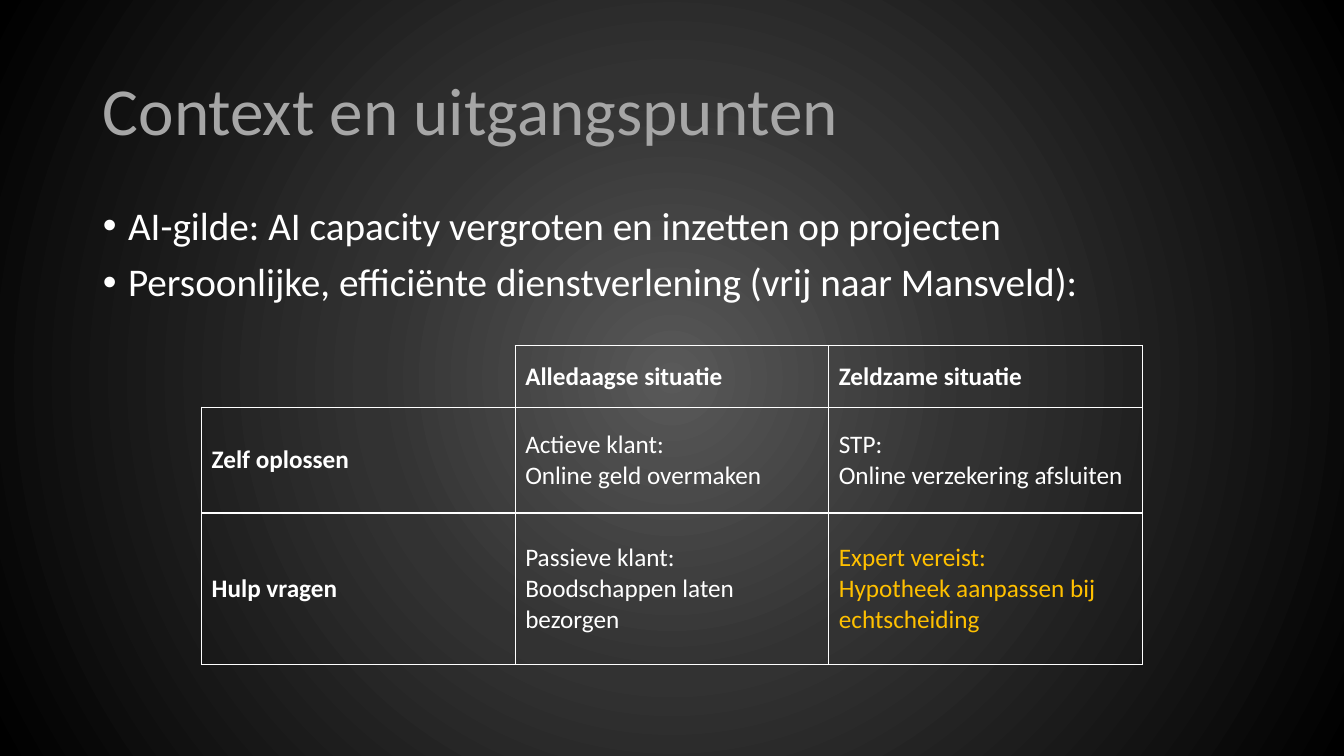
from lxml import etree
from pptx import Presentation
from pptx.dml.color import RGBColor
from pptx.enum.text import MSO_ANCHOR, MSO_AUTO_SIZE, PP_ALIGN
from pptx.oxml import parse_xml
from pptx.oxml.ns import nsdecls, qn
from pptx.util import Inches, Pt

MIDDLE, TOP = MSO_ANCHOR.MIDDLE, MSO_ANCHOR.TOP
LEFT = PP_ALIGN.LEFT
NO_AUTOFIT = MSO_AUTO_SIZE.NONE
WHITE, GREY, AMBER = "FFFFFF", "A6A6A6", "FFC000"
TITLE_AND_CONTENT = 1


def colour(hex_text):
    """Turn a hex string into a colour."""
    return RGBColor.from_string(hex_text)


class SlideBuilder:
    """Hold the style and the current slide."""

    font = "Calibri"
    title_size, list_size, table_size = 48, 28, 18
    border_width = 1

    def __init__(self, deck):
        """Add a slide with title and content to the deck."""
        self.slide = deck.slides.add_slide(deck.slide_layouts[TITLE_AND_CONTENT])

    def radial_background(self, stops):
        """Fill the background with a circular gradient from the centre."""
        stop_xml = "".join(
            f'<a:gs pos="{percent * 1000}"><a:srgbClr val="{shade}"/></a:gs>'
            for percent, shade in stops)
        background = parse_xml(
            f'<p:bg {nsdecls("p", "a")}><p:bgPr><a:gradFill rotWithShape="1">'
            f'<a:gsLst>{stop_xml}</a:gsLst><a:path path="circle">'
            '<a:fillToRect l="50000" t="50000" r="50000" b="50000"/></a:path>'
            '</a:gradFill><a:effectLst/></p:bgPr></p:bg>')
        self.slide.element.cSld.insert(0, background)

    def add_text(self, para, text, size, shade, bold=False):
        """Add one formatted run to a paragraph."""
        para.alignment = LEFT
        span = para.add_run()
        span.text = text
        span.font.name = self.font
        span.font.size = Pt(size)
        span.font.bold = bold
        span.font.color.rgb = colour(shade)

    def place(self, box, left, top, width, height, anchor):
        """Move a placeholder and return its text frame."""
        box.left, box.top = Inches(left), Inches(top)
        box.width, box.height = Inches(width), Inches(height)
        frame = box.text_frame
        frame.word_wrap = True
        frame.auto_size = NO_AUTOFIT
        frame.vertical_anchor = anchor
        return frame

    def title(self, text, *area):
        """Fill in the slide title."""
        frame = self.place(self.slide.shapes.title, *area, MIDDLE)
        para = frame.paragraphs[0]
        para.line_spacing = 0.9
        self.add_text(para, text, self.title_size, GREY)

    def bullets(self, lines, *area):
        """Fill the body placeholder with a bulleted list."""
        frame = self.place(self.slide.placeholders[1], *area, TOP)
        for index, line in enumerate(lines):
            para = frame.add_paragraph() if index else frame.paragraphs[0]
            properties = para._p.get_or_add_pPr()
            properties.set("marL", str(Inches(0.25)))
            properties.set("indent", str(Inches(-0.25)))
            etree.SubElement(properties, qn("a:buChar")).set("char", "•")
            para.line_spacing = 0.9
            para.space_before = Pt(10 if index else 0)
            self.add_text(para, line, self.list_size, WHITE)

    def borders(self, cell, hidden_sides):
        """Draw the cell borders, leaving out the hidden sides."""
        properties = cell._tc.get_or_add_tcPr()
        for index, side in enumerate("LRTB"):
            paint = ("<a:noFill/>" if side in hidden_sides else
                     f'<a:solidFill><a:srgbClr val="{WHITE}"/></a:solidFill>')
            properties.insert(index, parse_xml(
                f'<a:ln{side} {nsdecls("a")} w="{Pt(self.border_width)}">'
                f'{paint}</a:ln{side}>'))

    def table(self, rows, row_heights, column_width, left, top):
        """Add a table with headings in its first row and column."""
        column_count = len(rows[0])
        grid = self.slide.shapes.add_table(
            len(rows), column_count, Inches(left), Inches(top),
            Inches(column_width * column_count), Inches(sum(row_heights))).table
        grid.first_row = grid.horz_banding = False
        for column in grid.columns:
            column.width = Inches(column_width)
        for row_index, (texts, height) in enumerate(zip(rows, row_heights)):
            grid.rows[row_index].height = Inches(height)
            for column_index, (text, shade) in enumerate(texts):
                cell = grid.cell(row_index, column_index)
                cell.fill.background()
                cell.vertical_anchor = MIDDLE
                self.borders(cell, "" if text else "LT")
                heading = row_index == 0 or column_index == 0
                frame = cell.text_frame
                for index, line in enumerate(text.splitlines()):
                    para = frame.add_paragraph() if index else frame.paragraphs[0]
                    self.add_text(para, line, self.table_size, shade, heading)


def main():
    """Build and save the deck."""
    deck = Presentation()
    deck.slide_width, deck.slide_height = Inches(13.33), Inches(7.5)
    page = SlideBuilder(deck)
    page.radial_background([(0, "595959"), (39, "323232"), (100, "000000")])
    page.title("Context en uitgangspunten", 0.92, 0.4, 11.5, 1.45)
    page.bullets([
        "AI-gilde: AI capacity vergroten en inzetten op projecten",
        "Persoonlijke, efficiënte dienstverlening (vrij naar Mansveld):",
    ], 0.92, 2, 11.5, 4.76)
    situations = [
        [("", WHITE), ("Alledaagse situatie", WHITE), ("Zeldzame situatie", WHITE)],
        [("Zelf oplossen", WHITE),
         ("Actieve klant:\nOnline geld overmaken", WHITE),
         ("STP:\nOnline verzekering afsluiten", WHITE)],
        [("Hulp vragen", WHITE),
         ("Passieve klant:\nBoodschappen laten bezorgen", WHITE),
         ("Expert vereist:\nHypotheek aanpassen bij echtscheiding", AMBER)],
    ]
    page.table(situations, [0.61, 1.05, 1.5], 3.11, 2, 3.43)
    deck.save("out.pptx")


if __name__ == "__main__":
    main()
